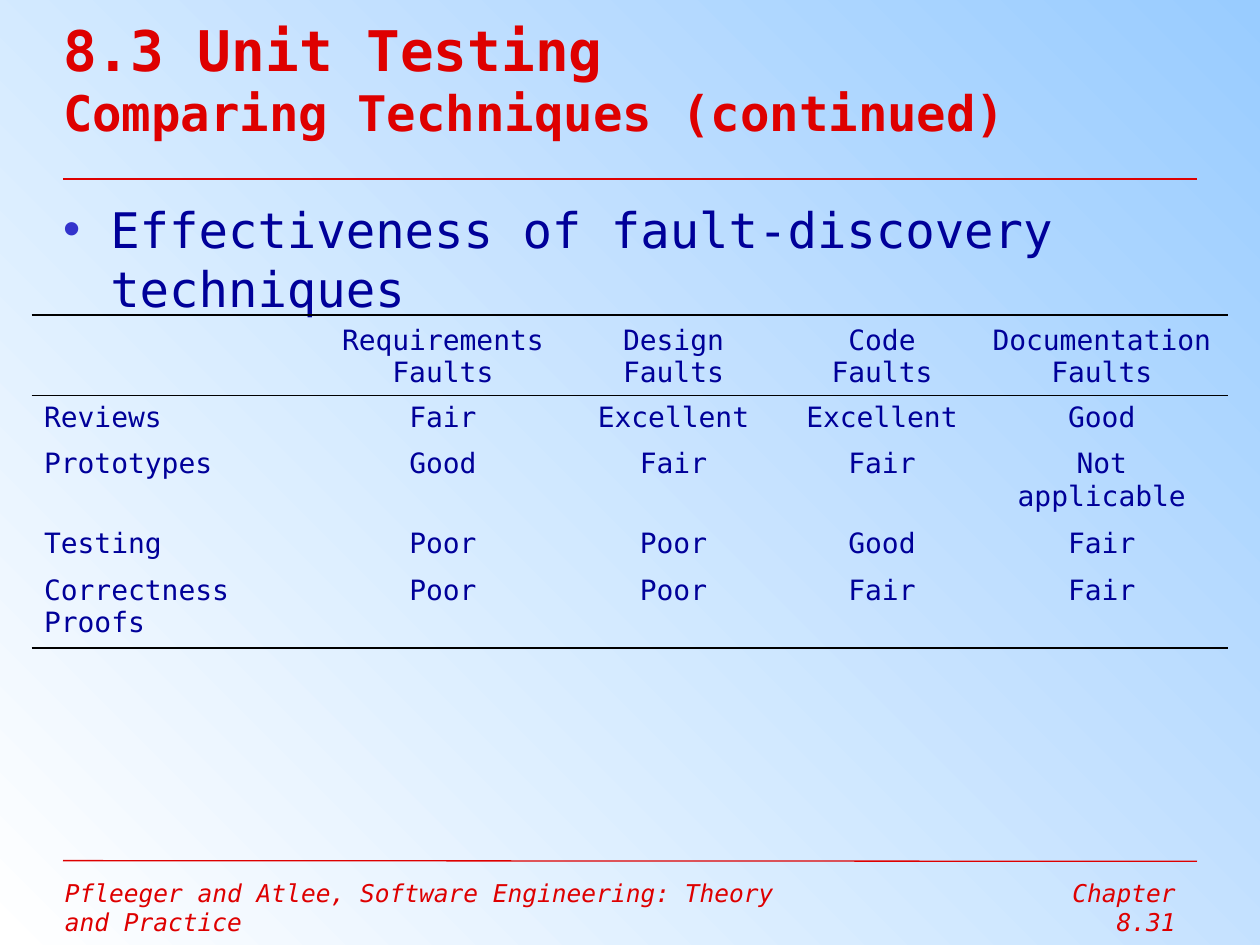
from lxml import etree
from pptx import Presentation
from pptx.dml.color import RGBColor
from pptx.enum import shapes, text
from pptx.oxml.ns import qn
from pptx.util import Pt

FONT = "DejaVu Sans Mono"
RED = RGBColor(0xDE, 0x00, 0x00)
NAVY = RGBColor(0x00, 0x00, 0x99)
BULLET = RGBColor(0x33, 0x33, 0xCC)
BLACK = RGBColor(0x00, 0x00, 0x00)
SKY = RGBColor(0x99, 0xCC, 0xFF)
WHITE = RGBColor(0xFF, 0xFF, 0xFF)


def write(para, words, size, color, bold=False, italic=False):
    """Add one styled run to a paragraph."""
    run = para.add_run()
    run.text = words
    font = run.font
    font.name, font.size = FONT, Pt(size)
    font.bold, font.italic = bold, italic
    font.color.rgb = color


def edge(cell, side, color=None):
    """Draw one cell border, or hide it when no colour is given."""
    line = etree.SubElement(cell._tc.get_or_add_tcPr(), qn("a:ln" + side))
    if color is None:
        etree.SubElement(line, qn("a:noFill"))
    else:
        line.set("w", str(Pt(1.08)))
        fill = etree.SubElement(line, qn("a:solidFill"))
        etree.SubElement(fill, qn("a:srgbClr"), val=str(color))


deck = Presentation()
deck.slide_width, deck.slide_height = Pt(720), Pt(540)
slide = deck.slides.add_slide(deck.slide_layouts[1])

# Background
back = slide.background.fill
back.gradient()
back.gradient_angle = 225
for stop, color in zip(back.gradient_stops, (SKY, WHITE)):
    stop.color.rgb = color

# Title and list
title, body = slide.shapes.title, slide.placeholders[1]
for holder, top, height in ((title, 0, 89.3), (body, 113.8, 177.8)):
    holder.left, holder.top = Pt(36), Pt(top)
    holder.width, holder.height = Pt(647.3), Pt(height)
    frame = holder.text_frame
    frame.auto_size = text.MSO_AUTO_SIZE.NONE
    frame.margin_left = frame.margin_right = 0
    frame.margin_top = frame.margin_bottom = 0
    frame.paragraphs[0].alignment = text.PP_ALIGN.LEFT
    frame.paragraphs[0].space_before = Pt(0)

title.text_frame.vertical_anchor = text.MSO_ANCHOR.MIDDLE
head = title.text_frame.paragraphs[0]
write(head, "8.3 Unit Testing", 32, RED, bold=True)
head.add_line_break()
write(head, "Comparing Techniques (continued)", 28, RED, bold=True)

item = body.text_frame.paragraphs[0]
props = item._p.get_or_add_pPr()
props.set("marL", str(Pt(27)))
props.set("indent", str(Pt(-27)))
tint = etree.SubElement(props, qn("a:buClr"))
etree.SubElement(tint, qn("a:srgbClr"), val=str(BULLET))
etree.SubElement(props, qn("a:buChar"), char="•")
write(item, "Effectiveness of fault-discovery techniques", 28, NAVY)

# Rules under the title and above the footer
for start, end, width in ((102.2, 102.2, 1.5), (491.8, 492.2, 0.75)):
    rule = slide.shapes.add_connector(
        shapes.MSO_CONNECTOR.STRAIGHT, Pt(36), Pt(start), Pt(684), Pt(end))
    rule.line.color.rgb = RED
    rule.line.width = Pt(width)
    etree.SubElement(rule._element.spPr, qn("a:effectLst"))

# Footer
for words, left, width, align in (
    ("Pfleeger and Atlee, Software Engineering: Theory and Practice",
     30, 432, text.PP_ALIGN.LEFT),
    ("Chapter 8.31", 564, 115, text.PP_ALIGN.RIGHT),
):
    box = slide.shapes.add_textbox(Pt(left), Pt(498.2), Pt(width), Pt(25))
    box.text_frame.word_wrap = True
    para = box.text_frame.paragraphs[0]
    para.alignment = align
    write(para, words, 14, RED, italic=True)

# Table of fault-discovery techniques
rows = (
    ("", "Requirements Faults", "Design Faults", "Code Faults",
     "Documentation Faults"),
    ("Reviews", "Fair", "Excellent", "Excellent", "Good"),
    ("Prototypes", "Good", "Fair", "Fair", "Not applicable"),
    ("Testing", "Poor", "Poor", "Good", "Fair"),
    ("Correctness Proofs", "Poor", "Poor", "Fair", "Fair"),
)
widths = (169.2, 131.8, 131.8, 106.5, 144.7)
heights = (46, 26.5, 33, 26.5, 35)
last = len(rows) - 1

table = slide.shapes.add_table(
    len(rows), len(widths), Pt(18), Pt(180),
    Pt(sum(widths)), Pt(sum(heights))).table
table.first_row = table.horz_banding = False
for col, width in zip(table.columns, widths):
    col.width = Pt(width)

for r, row in enumerate(rows):
    table.rows[r].height = Pt(heights[r])
    for c, words in enumerate(row):
        cell = table.cell(r, c)
        edge(cell, "L")
        edge(cell, "R")
        edge(cell, "T", BLACK if r in (0, 1) else None)
        edge(cell, "B", BLACK if r in (0, last) else None)
        cell.fill.background()
        if r == 0:
            cell.vertical_anchor = text.MSO_ANCHOR.BOTTOM
        if words:
            para = cell.text_frame.paragraphs[0]
            para.alignment = text.PP_ALIGN.CENTER if c else text.PP_ALIGN.LEFT
            write(para, words, 16, NAVY)

deck.save("out.pptx")
